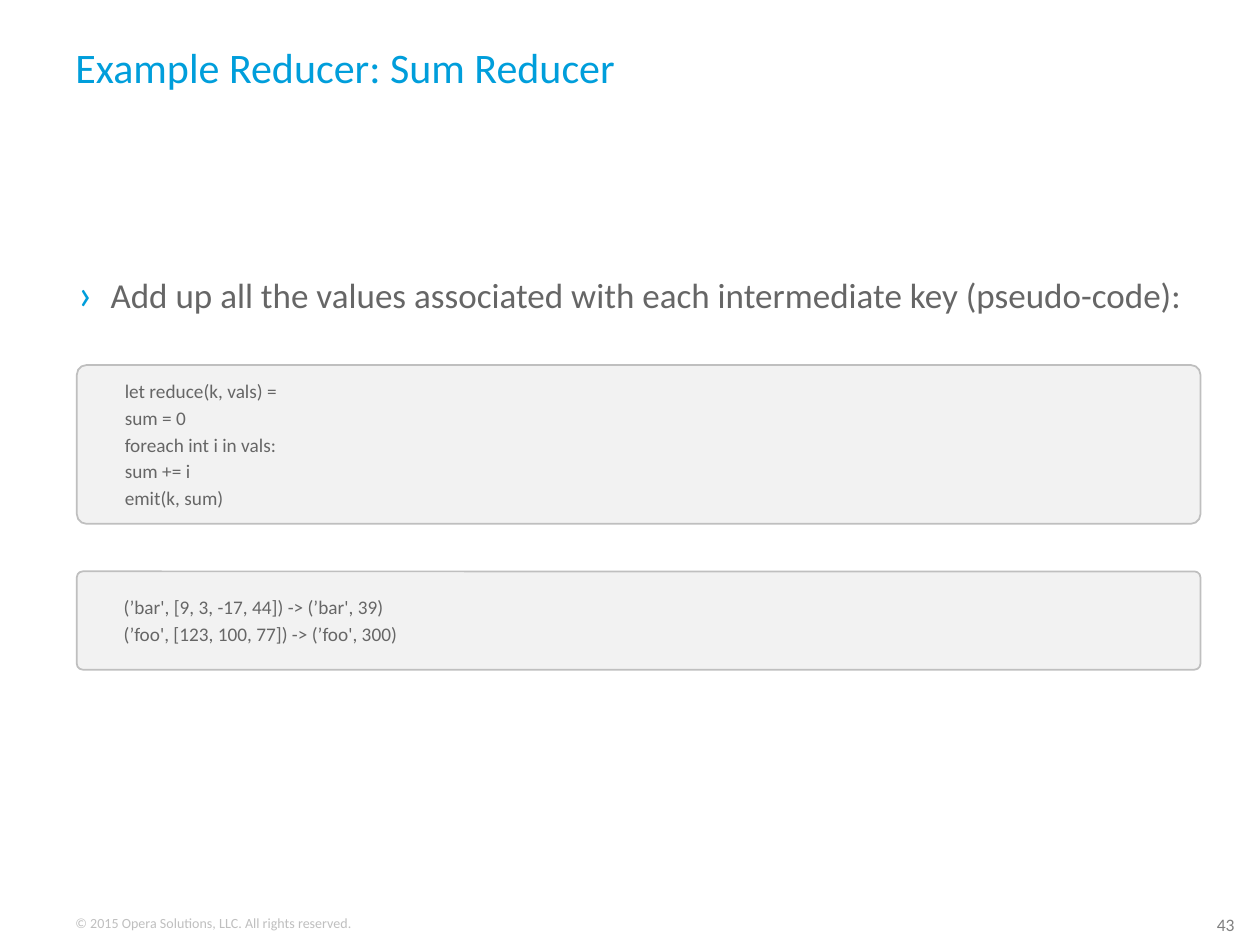
from lxml import etree
from pptx import Presentation
from pptx.dml.color import RGBColor
from pptx.enum import shapes, text
from pptx.oxml import ns
from pptx.util import Cm, Pt

THEME = {
    "font": "Calibri",
    "title": (24, "009EDB"),
    "body": (20, "666666"),
    "code": (11, "666666"),
    "number": (10, "808080"),
    "footer": (8, "BFBFBF"),
    "panel": "F2F2F2",
    "border": "BFBFBF",
    "accent": "009EDB",
}
INDENT = Cm(0.66)
PANEL_LEFT, PANEL_WIDTH = 1.55, 22.65

LABELS = [
    ("number", "43", (24.28, 18.31, 1.12, 0.69), {}),
    ("footer", "© 2015 Opera Solutions, LLC. All rights reserved.",
     (1.27, 18.31, 6.15, 0.61), {"word_wrap": False}),
    ("title", "Example Reducer: Sum Reducer", (1.27, 0.56, 19.89, 1.57),
     {"vertical_anchor": text.MSO_ANCHOR.MIDDLE}),
]
STATEMENT = "Add up all the values associated with each intermediate key (pseudo-code):"
PANELS = [
    (7.36, 3.2, ["let reduce(k, vals) =", "sum = 0", "foreach int i in vals:",
                 "sum += i", "emit(k, sum)"]),
    (11.52, 1.98, ["(’bar', [9, 3, -17, 44]) -> (’bar', 39)",
                   "(’foo', [123, 100, 77]) -> (’foo', 300)"]),
]


def color(value):
    return RGBColor.from_string(value)


def apply(target, values):
    for name, value in values.items():
        setattr(target, name, value)


def write(para, wording, role):
    size, tint = THEME[role]
    span = para.add_run()
    span.text = wording
    apply(span.font, {"name": THEME["font"], "size": Pt(size)})
    span.font.color.rgb = color(tint)


def add_label(page, role, wording, place, frame_format):
    box = page.shapes.add_textbox(*map(Cm, place))
    apply(box.text_frame, {"word_wrap": True, **frame_format})
    para = box.text_frame.paragraphs[0]
    write(para, wording, role)
    return para


def add_bullet(para):
    props = para._p.get_or_add_pPr()
    apply_indent = {"marL": INDENT, "indent": -INDENT}
    for name, value in apply_indent.items():
        props.set(name, str(int(value)))
    tint = etree.SubElement(props, ns.qn("a:buClr"))
    etree.SubElement(tint, ns.qn("a:srgbClr"), val=THEME["accent"])
    etree.SubElement(props, ns.qn("a:buSzPct"), val="125000")
    etree.SubElement(props, ns.qn("a:buFont"), typeface=THEME["font"])
    etree.SubElement(props, ns.qn("a:buChar"), char="›")
    para.line_spacing = 1.4


def add_panel(page, top, height, lines):
    panel = page.shapes.add_shape(
        shapes.MSO_SHAPE.ROUNDED_RECTANGLE,
        *map(Cm, (PANEL_LEFT, top, PANEL_WIDTH, height)))
    panel.adjustments[0] = 0.06
    panel.shadow.inherit = False
    panel.fill.solid()
    panel.fill.fore_color.rgb = color(THEME["panel"])
    panel.line.color.rgb = color(THEME["border"])
    panel.line.width = Pt(1)
    frame = panel.text_frame
    apply(frame, {"word_wrap": True, "vertical_anchor": text.MSO_ANCHOR.MIDDLE})
    for index, line in enumerate(lines):
        para = frame.add_paragraph() if index else frame.paragraphs[0]
        para.alignment = text.PP_ALIGN.LEFT
        para._p.get_or_add_pPr().set("marL", str(int(INDENT)))
        if index:
            para.space_before = Pt(2)
        write(para, line, "code")


def main():
    deck = Presentation()
    apply(deck, {"slide_width": Cm(25.4), "slide_height": Cm(19.05)})
    page = deck.slides.add_slide(deck.slide_layouts[6])
    for label in LABELS:
        add_label(page, *label)
    margins = dict.fromkeys(
        ("margin_left", "margin_top", "margin_right", "margin_bottom"), 0)
    add_bullet(add_label(page, "body", STATEMENT, (1.57, 5.18, 22.61, 1.09), margins))
    for panel in PANELS:
        add_panel(page, *panel)
    deck.save("out.pptx")


if __name__ == "__main__":
    main()
